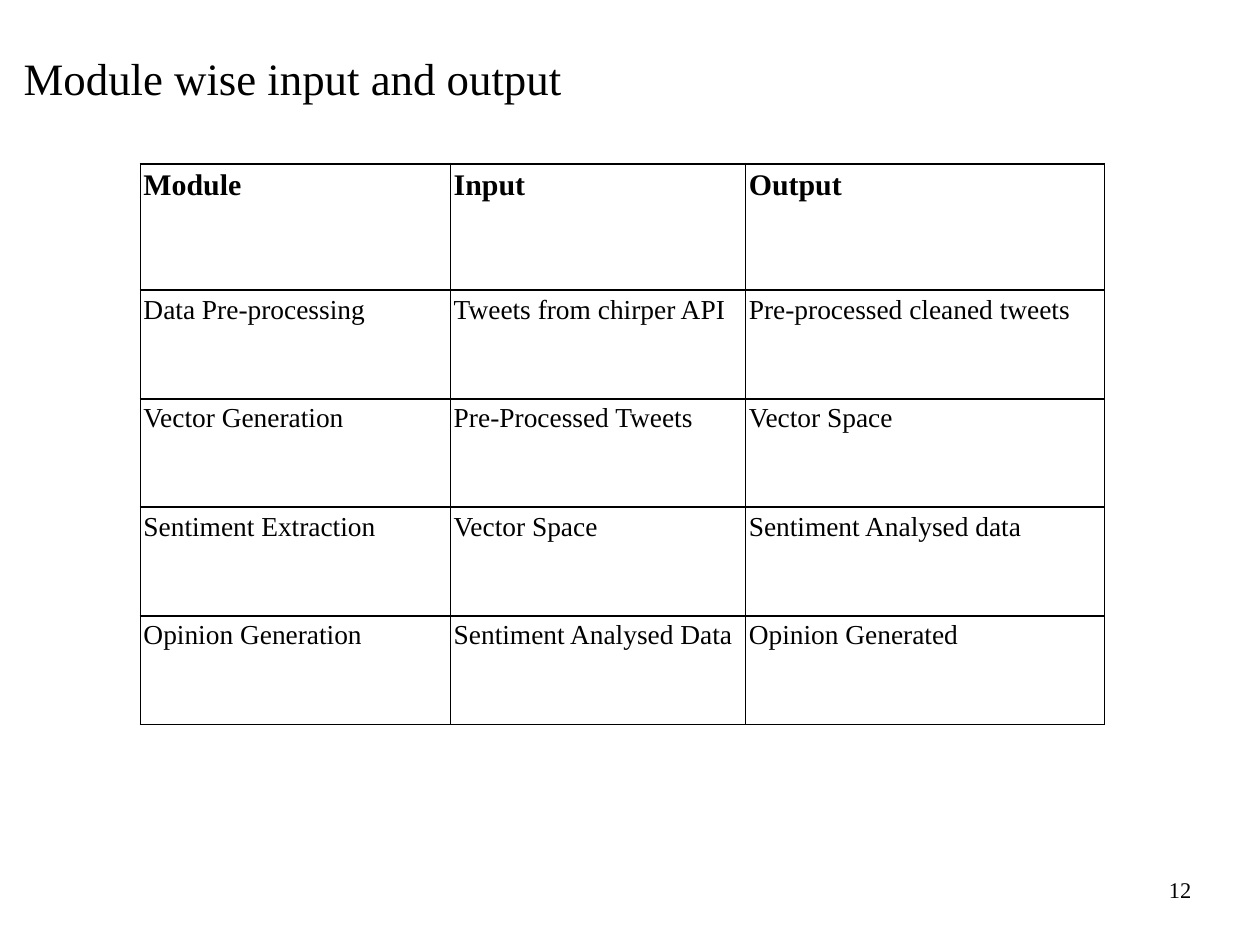
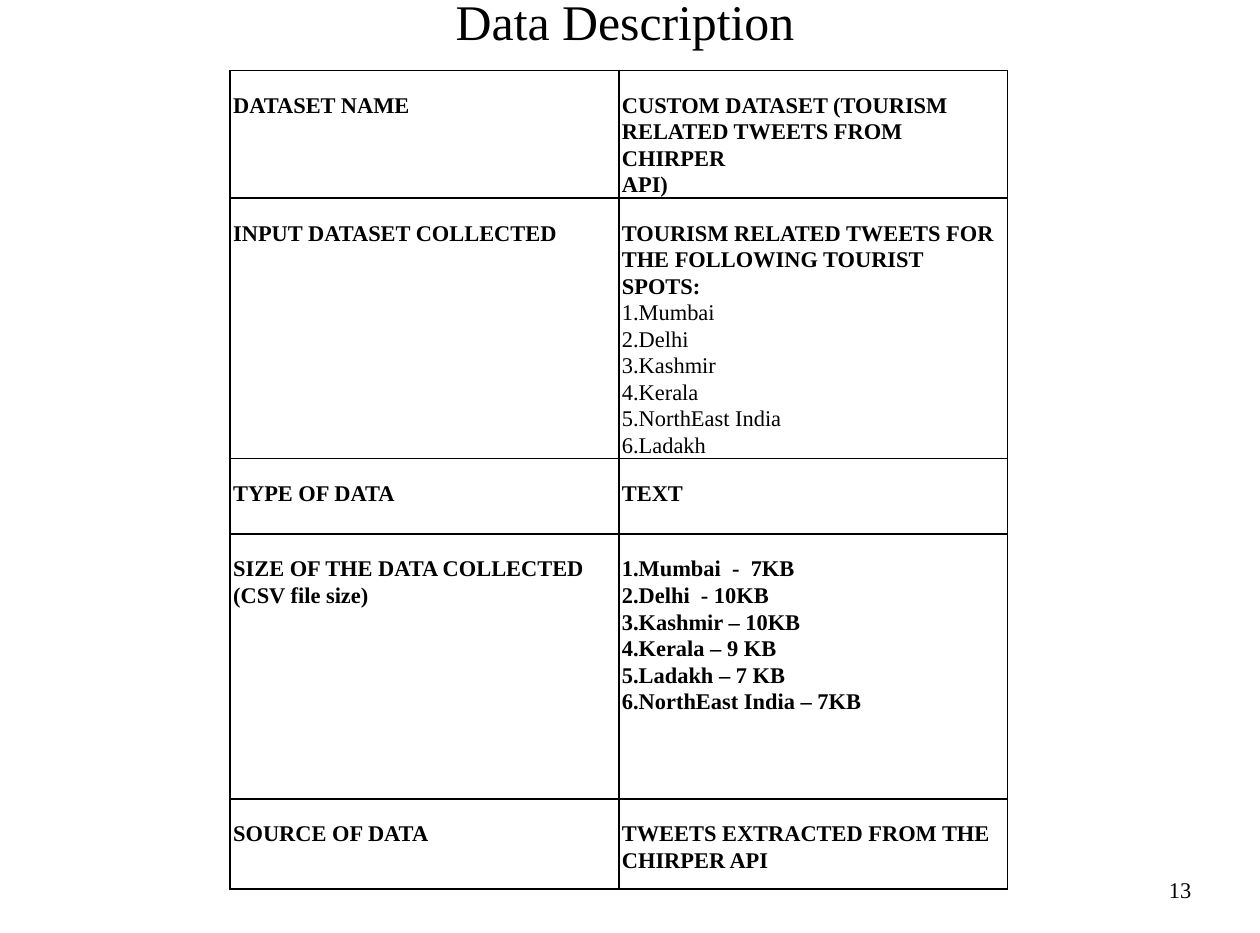
from lxml.etree import SubElement
from pptx import Presentation
from pptx.dml.color import RGBColor
from pptx.enum.text import MSO_ANCHOR, MSO_AUTO_SIZE, PP_ALIGN
from pptx.oxml.ns import qn
from pptx.util import Inches, Pt

BLACK = RGBColor(0x00, 0x00, 0x00)
WHITE = RGBColor(0xFF, 0xFF, 0xFF)
FONT = "Times New Roman"
BORDER_WIDTH = Pt(3)
TITLE_SIZE = (25.29, 3.47)
NUMBER_BOX = (20.14, 19.28, 6.56, 1.11)
BOX_MARGINS = (0.13, 0.06)

# Text styles: size in points and weight
HEADING = {"size": Pt(48), "bold": True}
ENTRY = {"size": Pt(44), "bold": False}
STRONG = {"size": Pt(36), "bold": True}
REGULAR = {"size": Pt(36), "bold": False}

# Content: each cell is a list of lines
MODULES = [
    ("Module", "Input", "Output"),
    ("Data Pre-processing", "Tweets from chirper API", "Pre-processed cleaned tweets"),
    ("Vector Generation", "Pre-Processed Tweets", "Vector Space"),
    ("Sentiment Extraction", "Vector Space", "Sentiment Analysed data"),
    ("Opinion Generation", "Sentiment Analysed Data", "Opinion Generated"),
]
SPOTS = ["1.Mumbai", "2.Delhi", "3.Kashmir", "4.Kerala", "5.NorthEast India", "6.Ladakh"]
DATASET = [
    (["DATASET NAME"],
     ["CUSTOM DATASET (TOURISM RELATED TWEETS FROM CHIRPER", "API)"]),
    (["INPUT DATASET COLLECTED"],
     ["TOURISM RELATED TWEETS FOR THE FOLLOWING TOURIST SPOTS:"] + SPOTS),
    (["TYPE OF DATA"], ["TEXT"]),
    (["SIZE OF THE DATA COLLECTED", "(CSV file size)"],
     ["1.Mumbai  -  7KB", "2.Delhi  - 10KB", "3.Kashmir – 10KB",
      "4.Kerala – 9 KB", "5.Ladakh – 7 KB", "6.NorthEast India – 7KB"]),
    (["SOURCE OF DATA"], ["TWEETS EXTRACTED FROM THE CHIRPER API"]),
]

SLIDES = [
    {
        "title": "Module wise input and output", "title_points": 72,
        "title_at": (-6.12, 0), "number": "12",
        "table_at": (3.13, 3.65), "columns": [6.92, 6.58, 8],
        "heights": [2.82] + [2.42] * 4,
        "rows": [[[text] for text in row] for row in MODULES],
        "line_style": lambda row, line: ENTRY if row else HEADING,
        "cell_top": 0,
        "paragraph": {"alignment": PP_ALIGN.JUSTIFY, "line_spacing": 1.15,
                      "space_after": Pt(12)},
    },
    {
        "title": "Data Description", "title_points": 80,
        "title_at": (1.3, -1.27), "number": "13",
        "table_at": (5.13, 1.57), "columns": [8.67, 8.67],
        "heights": [2.85, 5.8, 1.69, 5.9, 2.01],
        "rows": DATASET,
        "line_style": lambda row, line: REGULAR if line in SPOTS else STRONG,
        "cell_top": 0.47,
        "paragraph": {"alignment": PP_ALIGN.LEFT, "line_spacing": 1.07},
    },
]


def apply(target, values):
    for name, value in values.items():
        setattr(target, name, value)


def write_line(paragraph, text, style, layout):
    run = paragraph.add_run()
    run.text = text
    apply(run.font, {"name": FONT, **style})
    run.font.color.rgb = BLACK
    apply(paragraph, layout)


def fill_box(shape, box, text, points, alignment):
    """Place a one-line box and write its text."""
    apply(shape, dict(zip(("left", "top", "width", "height"), map(Inches, box))))
    side, end = map(Inches, BOX_MARGINS)
    frame = shape.text_frame
    apply(frame, {"word_wrap": True, "auto_size": MSO_AUTO_SIZE.NONE,
                  "vertical_anchor": MSO_ANCHOR.MIDDLE,
                  "margin_left": side, "margin_right": side,
                  "margin_top": end, "margin_bottom": end})
    write_line(frame.paragraphs[0], text, {"size": Pt(points), "bold": False},
               {"alignment": alignment})


def draw_borders(cell):
    properties = cell._tc.get_or_add_tcPr()
    for side in ("a:lnL", "a:lnR", "a:lnT", "a:lnB"):
        line = SubElement(properties, qn(side), w=str(BORDER_WIDTH))
        fill = SubElement(line, qn("a:solidFill"))
        SubElement(fill, qn("a:srgbClr"), val=str(BLACK))


def fill_cell(cell, lines, row, content):
    draw_borders(cell)
    cell.fill.background()
    apply(cell, {"margin_left": Inches(0.07), "margin_right": Inches(0.07),
                 "margin_top": Inches(content["cell_top"]), "margin_bottom": 0,
                 "vertical_anchor": MSO_ANCHOR.TOP})
    frame = cell.text_frame
    for index, line in enumerate(lines):
        paragraph = frame.add_paragraph() if index else frame.paragraphs[0]
        write_line(paragraph, line, content["line_style"](row, line), content["paragraph"])


def add_grid(slide, content):
    columns, heights = content["columns"], content["heights"]
    box = (*content["table_at"], sum(columns), sum(heights))
    table = slide.shapes.add_table(len(heights), len(columns), *map(Inches, box)).table
    table.horz_banding = False
    for column, width in zip(table.columns, columns):
        column.width = Inches(width)
    for row, height in zip(table.rows, heights):
        row.height = Inches(height)
    for row, cells in enumerate(content["rows"]):
        for column, lines in enumerate(cells):
            fill_cell(table.cell(row, column), lines, row, content)


def add_content_slide(presentation, content):
    slide = presentation.slides.add_slide(presentation.slide_layouts[5])
    # Title and slide number
    fill_box(slide.shapes.title, (*content["title_at"], *TITLE_SIZE),
             content["title"], content["title_points"], PP_ALIGN.CENTER)
    number = slide.shapes.add_textbox(0, 0, 0, 0)
    fill_box(number, NUMBER_BOX, content["number"], 36, PP_ALIGN.RIGHT)
    # Table
    add_grid(slide, content)


def main():
    presentation = Presentation()
    apply(presentation, {"slide_width": Inches(28.1), "slide_height": Inches(20.8)})
    background = presentation.slide_master.background.fill
    background.solid()
    background.fore_color.rgb = WHITE
    for content in SLIDES:
        add_content_slide(presentation, content)
    presentation.save("out.pptx")


if __name__ == "__main__":
    main()
